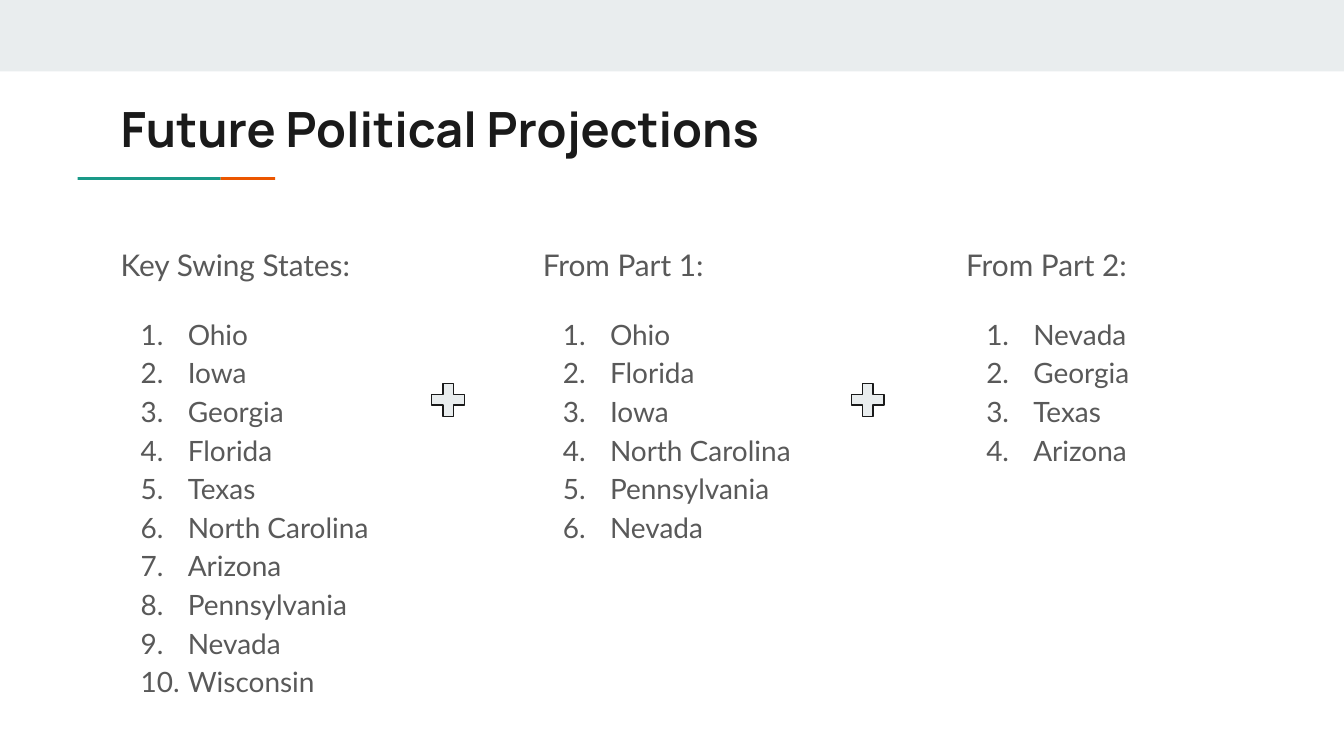
from lxml import etree
from pptx import Presentation
from pptx.dml.color import RGBColor
from pptx.enum.shapes import MSO_SHAPE
from pptx.oxml.ns import qn
from pptx.util import Cm, Pt

RECT, PLUS = MSO_SHAPE.RECTANGLE, MSO_SHAPE.MATH_PLUS
COLORS = {"band": "E9EDEE", "teal": "1A9988", "orange": "EB5600",
          "dark": "1A1A1A", "body": "595959"}

prs = Presentation()
prs.slide_width, prs.slide_height = Cm(25.4), Cm(14.29)
s = prs.slides.add_slide(prs.slide_layouts[6])


def add_shape(kind, left, top, width, height, fill):
    """Add a filled shape with no line or shadow; lengths in cm."""
    sp = s.shapes.add_shape(kind, Cm(left), Cm(top), Cm(width), Cm(height))
    sp.shadow.inherit = False
    sp.fill.solid()
    sp.fill.fore_color.rgb = RGBColor.from_string(COLORS[fill])
    sp.line.fill.background()
    return sp


def add_text(left, top, width, height, lines, font, color, bold=False):
    """Add a text box of (text, size) lines and return its paragraphs."""
    tf = s.shapes.add_textbox(Cm(left), Cm(top), Cm(width), Cm(height)).text_frame
    tf.word_wrap = True
    tf.margin_left = tf.margin_right = tf.margin_top = tf.margin_bottom = Cm(0.25)
    for i, (text, size) in enumerate(lines):
        p = tf.add_paragraph() if i else tf.paragraphs[0]
        r = p.add_run()
        r.text = text
        r.font.name, r.font.size, r.font.bold = font, Pt(size), bold
        r.font.color.rgb = RGBColor.from_string(COLORS[color])
    return tf.paragraphs


# Header band, accent rule and title
add_shape(RECT, 0, 0, 25.4, 1.35, "band")
add_shape(RECT, 1.47, 3.35, 2.7, 0.05, "teal")
add_shape(RECT, 4.17, 3.35, 1.03, 0.05, "orange")
add_text(2.03, 1.63, 21.36, 1.5, [("Future Political Projections", 26)],
         "Manrope", "dark", True)

# Three numbered lists of states
columns = [
    (2.03, 6.86, 9.14, "Key Swing States:",
     ["Ohio", "Iowa", "Georgia", "Florida", "Texas", "North Carolina",
      "Arizona", "Pennsylvania", "Nevada", "Wisconsin"]),
    (10.01, 8.64, 9.14, "From Part 1:",
     ["Ohio", "Florida", "Iowa", "North Carolina", "Pennsylvania", "Nevada"]),
    (18.01, 5.99, 8.2, "From Part 2:",
     ["Nevada", "Georgia", "Texas", "Arizona"]),
]
for left, width, height, heading, states in columns:
    lines = [(heading, 16)] + [(state, 15) for state in states]
    paragraphs = add_text(left, 4.31, width, height, lines, "Lato", "body")
    for i, p in enumerate(paragraphs):
        p.line_spacing = 1.15
        p.space_before = Pt(16 if i == 1 else 0)
        if i:
            pPr = p._p.get_or_add_pPr()
            pPr.set("marL", str(Cm(1.27)))
            pPr.set("indent", str(Cm(-0.89)))
            etree.SubElement(pPr, qn("a:buFont")).set("typeface", "Lato")
            etree.SubElement(pPr, qn("a:buAutoNum")).set("type", "arabicPeriod")

# Plus signs between the lists
for left in (8.05, 15.98):
    sp = add_shape(PLUS, left, 7.14, 0.84, 0.84, "band")
    sp.adjustments[0] = 0.235
    sp.line.color.rgb = RGBColor.from_string(COLORS["dark"])
    sp.line.width = Pt(0.75)

prs.save("out.pptx")
